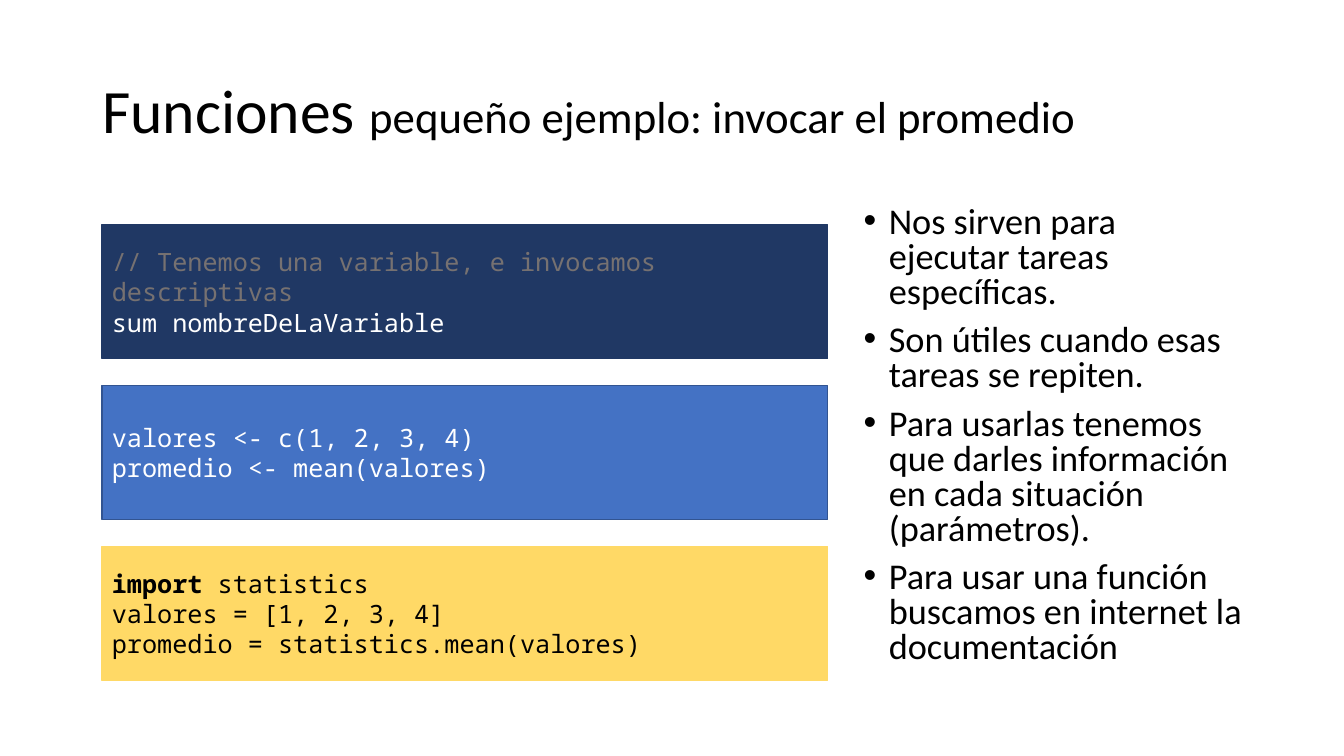
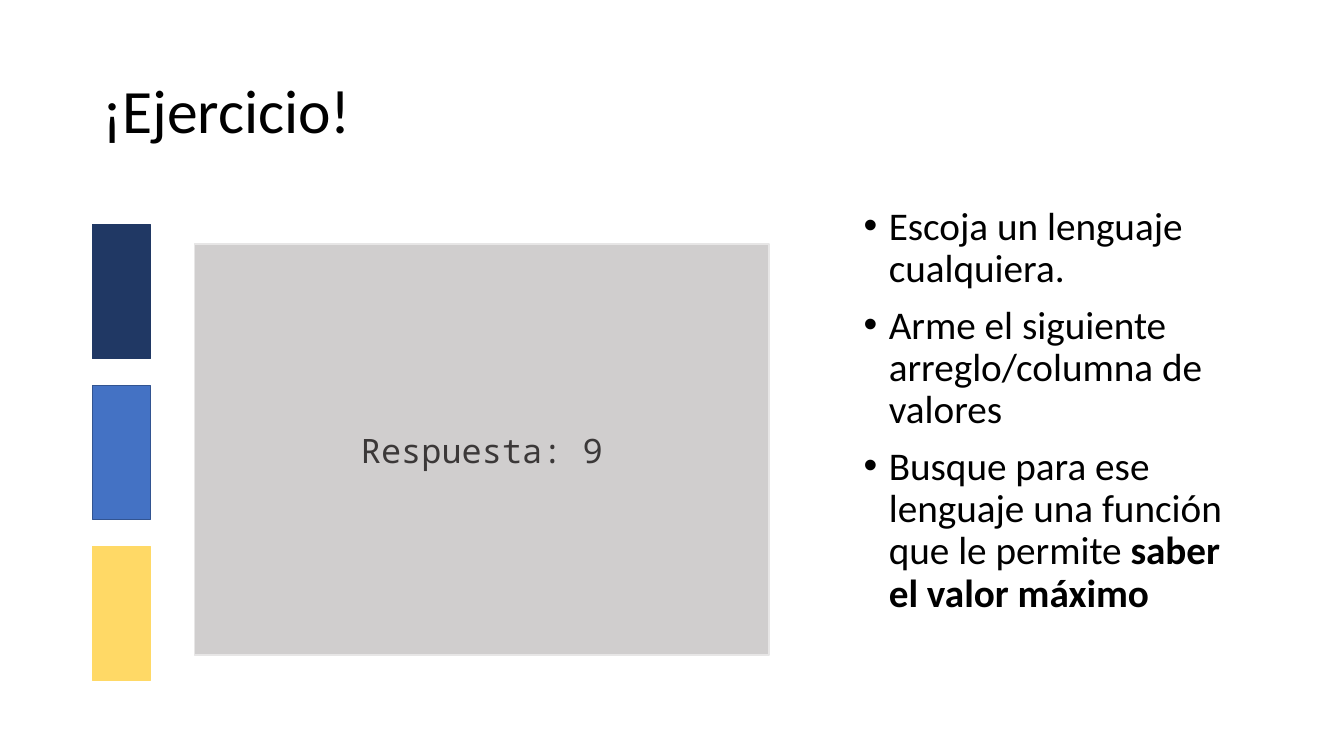
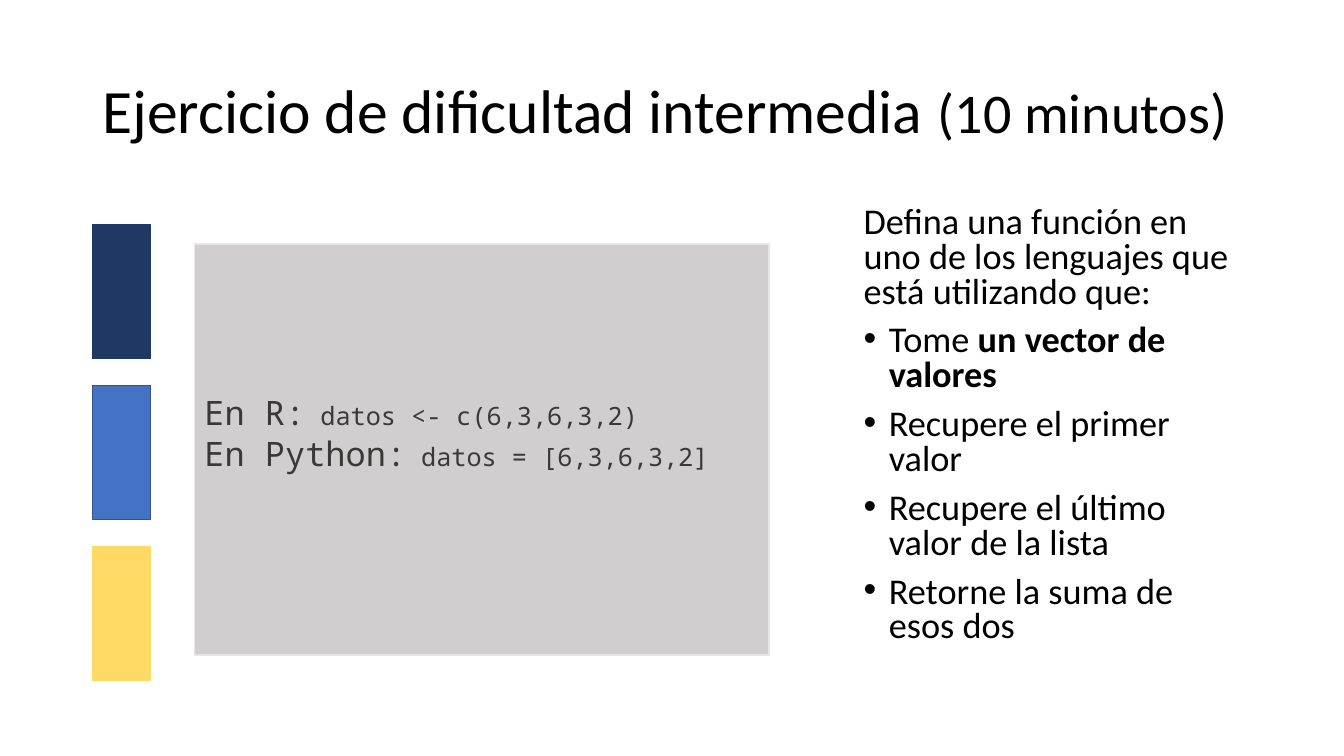
from dataclasses import dataclass

from lxml import etree
from pptx import Presentation
from pptx import util as u
from pptx.dml import color as dml
from pptx.enum import shapes, text
from pptx.oxml import ns


@dataclass(frozen=True)
class Theme:
    sans: str = "Calibri"
    mono: str = "Noto Sans Mono"
    black: str = "000000"
    white: str = "FFFFFF"
    navy: str = "203864"
    blue: str = "4472C4"
    edge: str = "325491"
    gold: str = "FFD966"
    panel: str = "D0CECE"
    rim: str = "E7E6E6"
    ink: str = "3B3838"
    mute: str = "767171"
    title: float = 44
    aside: float = 32
    timer: float = 40
    list: float = 28
    dense: float = 25.9
    reply: float = 24
    code: float = 18


@dataclass(frozen=True)
class Box:
    left: float
    top: float
    width: float
    height: float


@dataclass(frozen=True)
class Style:
    font: str
    size: float
    color: str
    lead: float = 1.0
    gap: float = 0


@dataclass(frozen=True)
class Span:
    """A piece of text; empty fields fall back to the style."""
    text: str
    size: float | None = None
    color: str | None = None
    bold: bool = False


@dataclass(frozen=True)
class Line:
    spans: tuple[Span, ...]
    dot: bool = False


@dataclass(frozen=True)
class Band:
    fill: str
    edge: str
    ink: str
    code: tuple[Line, ...]


def line(*spans: str | Span, dot: bool = False) -> Line:
    return Line(tuple(Span(s) if isinstance(s, str) else s for s in spans), dot)


def point(*spans: str | Span) -> Line:
    return line(*spans, dot=True)


T = Theme()
TITLE = Box(66, 28.8, 828, 104.4)
LIST = Box(609.8, 144, 284.4, 342.7)
PANEL = Box(139, 174.2, 410.4, 293.8)
BAND_TOP, BAND_STEP, BAND_HIGH = 160.5, 114.9, 95.8
INDENT = 18

HEAD = Style(T.sans, T.title, T.black, 0.9)
LOOSE = Style(T.sans, T.list, T.black, 0.9, 10)
DENSE = Style(T.sans, T.dense, T.black, 0.8, 10)
REPLY = Style(T.mono, T.reply, T.ink)

BANDS = (
    Band(T.navy, T.navy, T.white, (
        line(Span("// Tenemos una variable, e invocamos descriptivas", color=T.mute)),
        line("sum nombreDeLaVariable"))),
    Band(T.blue, T.edge, T.white, (
        line("valores <- c(1, 2, 3, 4)"),
        line("promedio <- mean(valores)"))),
    Band(T.gold, T.gold, T.black, (
        line(Span("import", bold=True), " statistics"),
        line("valores = [1, 2, 3, 4]"),
        line("promedio = statistics.mean(valores)"))),
)


def place(box: Box) -> tuple[u.Length, ...]:
    return tuple(u.Pt(n) for n in (box.left, box.top, box.width, box.height))


def rgb(color: str) -> dml.RGBColor:
    return dml.RGBColor.from_string(color)


def bullet(para) -> None:
    props = para._p.get_or_add_pPr()
    props.set("marL", str(u.Pt(INDENT)))
    props.set("indent", str(u.Pt(-INDENT)))
    font = etree.SubElement(props, ns.qn("a:buFont"))
    font.set("typeface", "Arial")
    etree.SubElement(props, ns.qn("a:buChar")).set("char", "•")


def write(frame, lines: tuple[Line, ...], style: Style,
          align=text.PP_ALIGN.LEFT) -> None:
    frame.word_wrap = True
    frame.text = "\n".join(row.spans[0].text for row in lines)
    for para, row in zip(frame.paragraphs, lines):
        para.alignment = align
        para.line_spacing = style.lead
        para.space_before = u.Pt(style.gap)
        if row.dot:
            bullet(para)
        for span in row.spans[1:]:
            para.add_run().text = span.text
        for run, span in zip(para.runs, row.spans):
            run.font.name = style.font
            run.font.size = u.Pt(span.size or style.size)
            run.font.bold = span.bold
            run.font.color.rgb = rgb(span.color or style.color)


def label(slide, box: Box, lines: tuple[Line, ...], style: Style,
          anchor=text.MSO_ANCHOR.TOP) -> None:
    frame = slide.shapes.add_textbox(*place(box)).text_frame
    frame.vertical_anchor = anchor
    write(frame, lines, style)


def block(slide, box: Box, fill: str, edge: str):
    """Draw a filled rectangle and return its text frame."""
    shape = slide.shapes.add_shape(shapes.MSO_SHAPE.RECTANGLE, *place(box))
    shape.shadow.inherit = False
    shape.fill.solid()
    shape.fill.fore_color.rgb = rgb(fill)
    shape.line.color.rgb = rgb(edge)
    shape.line.width = u.Pt(1)
    shape.text_frame.vertical_anchor = text.MSO_ANCHOR.MIDDLE
    return shape.text_frame


def bands(slide, left: float, width: float, code: bool = False) -> None:
    for i, band in enumerate(BANDS):
        box = Box(left, BAND_TOP + i * BAND_STEP, width, BAND_HIGH)
        frame = block(slide, box, band.fill, band.edge)
        if code:
            write(frame, band.code, Style(T.mono, T.code, band.ink))


def start(deck, title: Line, items: tuple[Line, ...], style: Style):
    """Add a slide with its title and right-hand list."""
    slide = deck.slides.add_slide(deck.slide_layouts[6])
    label(slide, TITLE, (title,), HEAD, text.MSO_ANCHOR.MIDDLE)
    label(slide, LIST, items, style)
    return slide


def task(deck, title: Line, items: tuple[Line, ...], style: Style,
         reply: tuple[Line, ...], align, lift: float = 0) -> None:
    """Add an exercise slide; lift raises the panel text."""
    slide = start(deck, title, items, style)
    bands(slide, 66, 41.4)
    frame = block(slide, PANEL, T.panel, T.rim)
    frame.margin_bottom = u.Pt(3.6 + lift)
    write(frame, reply, REPLY, align)


def main() -> None:
    deck = Presentation()
    deck.slide_width, deck.slide_height = u.Pt(960), u.Pt(540)

    slide = start(
        deck,
        line("Funciones ", Span("pequeño ejemplo: invocar el promedio", T.aside)),
        (point("Nos sirven para ejecutar tareas específicas."),
         point("Son útiles cuando esas tareas se repiten."),
         point("Para usarlas tenemos que darles información en cada situación "
               "(parámetros)."),
         point("Para usar una función buscamos en internet la documentación")),
        DENSE)
    bands(slide, 72.8, 518.4, code=True)

    task(
        deck,
        line("¡Ejercicio!"),
        (point("Escoja un lenguaje cualquiera."),
         point("Arme el siguiente arreglo/columna de valores"),
         point("Busque para ese lenguaje una función que le permite ",
               Span("saber el valor máximo", bold=True))),
        LOOSE,
        (line("Respuesta: 9"),),
        text.PP_ALIGN.CENTER)

    task(
        deck,
        line("Ejercicio de dificultad intermedia ", Span("(10 minutos)", T.timer)),
        (line("Defina una función en uno de los lenguajes que está utilizando que:"),
         point("Tome ", Span("un vector de valores", bold=True)),
         point("Recupere el primer valor"),
         point("Recupere el último valor de la lista"),
         point("Retorne la suma de esos dos")),
        DENSE,
        (line("En R:", Span(" datos <- c(6,3,6,3,2)", T.code)),
         line("En Python:", Span(" datos = [6,3,6,3,2]", T.code))),
        text.PP_ALIGN.LEFT, lift=24)

    deck.save("out.pptx")


if __name__ == "__main__":
    main()
